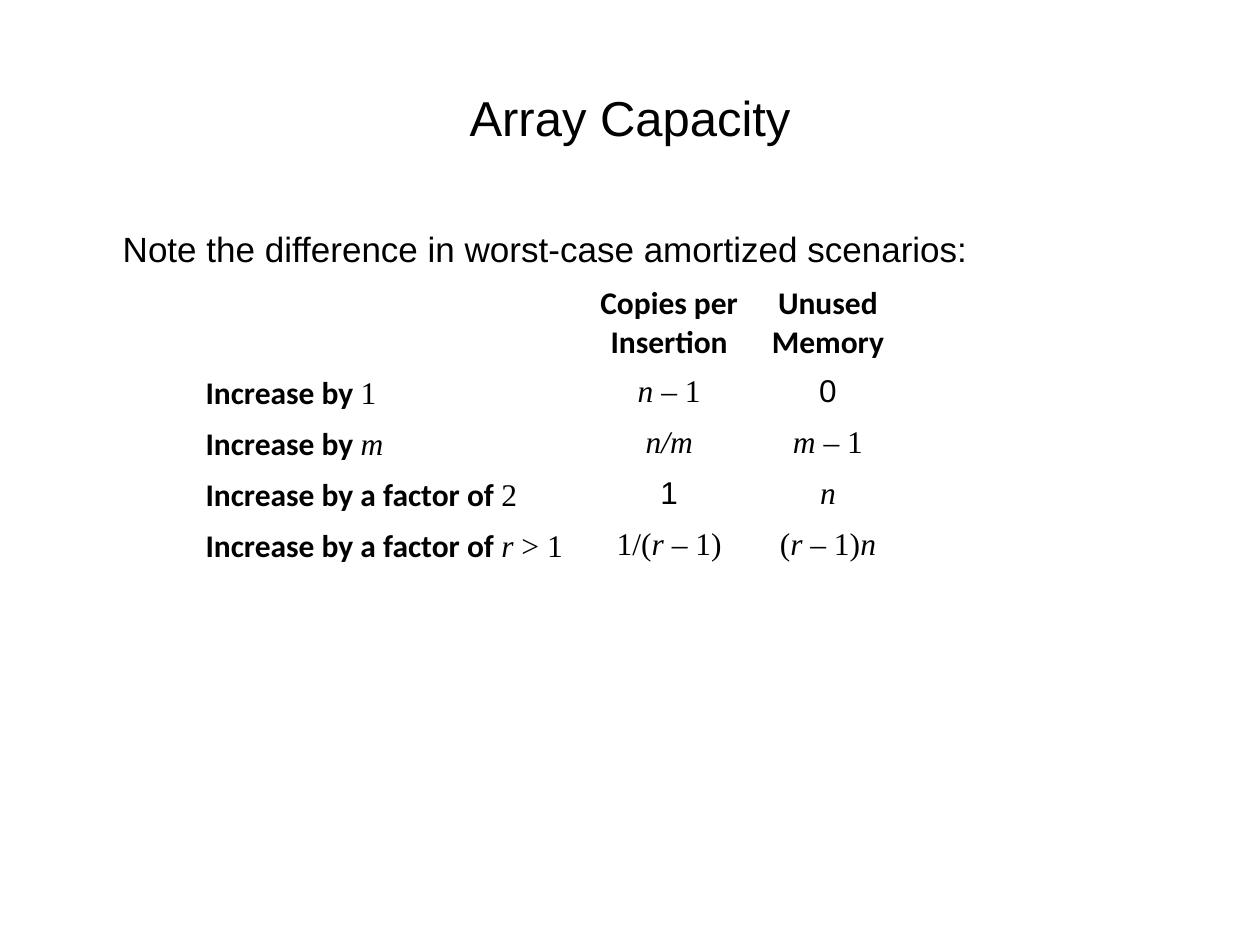
from dataclasses import dataclass

from pptx import Presentation
from pptx.dml.color import RGBColor
from pptx.enum.text import MSO_ANCHOR, PP_ALIGN
from pptx.oxml.ns import qn
from pptx.util import Cm, Pt


@dataclass(frozen=True)
class Theme:
    """Colours, fonts and type sizes of the slide."""
    ink: RGBColor = RGBColor(0, 0, 0)
    sans: str = "Arial"
    label: str = "Calibri"
    math: str = "Times New Roman"
    title_size: int = 28
    body_size: int = 20
    table_size: int = 18


THEME = Theme()
NO_GRID_STYLE = "{2D5ABB26-0587-4C30-8999-92F81FD0307C}"

# Each style is (font, bold, italic).
LABEL = (THEME.label, True, False)
MATH = (THEME.math, False, False)
VARIABLE = (THEME.math, False, True)
PLAIN = (THEME.sans, False, False)

# A cell is a list of paragraphs; a paragraph is a list of (text, style) runs.
CAPACITY_ROWS = [
    [[], [[("Copies per", LABEL)], [("Insertion", LABEL)]], [[("Unused Memory", LABEL)]]],
    [[[("Increase by ", LABEL), ("1", MATH)]],
     [[("n", VARIABLE), (" – 1", MATH)]],
     [[("0", PLAIN)]]],
    [[[("Increase by ", LABEL), ("m", VARIABLE)]],
     [[("n/m", VARIABLE)]],
     [[("m", VARIABLE), (" – 1", MATH)]]],
    [[[("Increase by a factor of ", LABEL), ("2", MATH)]],
     [[("1", PLAIN)]],
     [[("n", VARIABLE)]]],
    [[[("Increase by a factor of ", LABEL), ("r", VARIABLE), (" > 1", MATH)]],
     [[("1/(", MATH), ("r", VARIABLE), (" – 1)", MATH)]],
     [[("(", MATH), ("r", VARIABLE), (" – 1)", MATH), ("n", VARIABLE)]]],
]
COLUMN_WIDTHS = [Cm(7.8), Cm(3.6), Cm(2.8)]
HEADER_HEIGHT, ROW_HEIGHT = Cm(1.8), Cm(1.03)


def place(shape, left, top, width, height):
    """Move and size a placeholder."""
    shape.left, shape.top, shape.width, shape.height = left, top, width, height


def add_run(paragraph, text, style, size):
    """Append one formatted run to a paragraph."""
    run = paragraph.add_run()
    run.text = text
    font = run.font
    font.name, font.bold, font.italic = style
    font.size = Pt(size)
    font.color.rgb = THEME.ink


def fill_title(title, text):
    """Place the title and centre its text."""
    place(title, Cm(1.27), Cm(0.76), Cm(22.86), Cm(3.18))
    title.text_frame.vertical_anchor = MSO_ANCHOR.MIDDLE
    paragraph = title.text_frame.paragraphs[0]
    paragraph.alignment = PP_ALIGN.CENTER
    add_run(paragraph, text, PLAIN, THEME.title_size)


def fill_body(body, text):
    """Place the body and write one indented line without a bullet."""
    place(body, Cm(1.27), Cm(4.45), Cm(22.86), Cm(12.57))
    paragraph = body.text_frame.paragraphs[0]
    paragraph.space_before = Pt(0.2 * THEME.body_size)
    properties = paragraph._p.get_or_add_pPr()
    properties.set("marL", str(Cm(0.95)))
    properties.set("indent", "0")
    properties.append(properties.makeelement(qn("a:buNone"), {}))
    add_run(paragraph, text, PLAIN, THEME.body_size)


def fill_cell(cell, paragraphs, alignment):
    """Write the paragraphs of one transparent table cell."""
    cell.fill.background()
    frame = cell.text_frame
    for index, runs in enumerate(paragraphs):
        paragraph = frame.add_paragraph() if index else frame.paragraphs[0]
        paragraph.alignment = alignment
        for text, style in runs:
            add_run(paragraph, text, style, THEME.table_size)


def add_capacity_table(slide, left, top):
    """Add the table of copies and unused memory per growth strategy."""
    height = HEADER_HEIGHT + ROW_HEIGHT * (len(CAPACITY_ROWS) - 1)
    table = slide.shapes.add_table(len(CAPACITY_ROWS), len(COLUMN_WIDTHS),
                                   left, top, sum(COLUMN_WIDTHS), height).table
    table.horz_banding = table.first_row = False
    table._tbl.tblPr.find(qn("a:tableStyleId")).text = NO_GRID_STYLE
    for column, width in zip(table.columns, COLUMN_WIDTHS):
        column.width = width
    for r, row in enumerate(CAPACITY_ROWS):
        table.rows[r].height = ROW_HEIGHT if r else HEADER_HEIGHT
        for c, paragraphs in enumerate(row):
            fill_cell(table.cell(r, c), paragraphs,
                      PP_ALIGN.CENTER if c else PP_ALIGN.LEFT)


def main():
    """Build and save the slide."""
    presentation = Presentation()
    presentation.slide_width, presentation.slide_height = Cm(25.4), Cm(19.05)
    slide = presentation.slides.add_slide(presentation.slide_layouts[1])
    fill_title(slide.shapes.title, "Array Capacity")
    fill_body(slide.placeholders[1],
              "Note the difference in worst-case amortized scenarios:")
    add_capacity_table(slide, Cm(3.89), Cm(5.61))
    presentation.save("out.pptx")


main()
